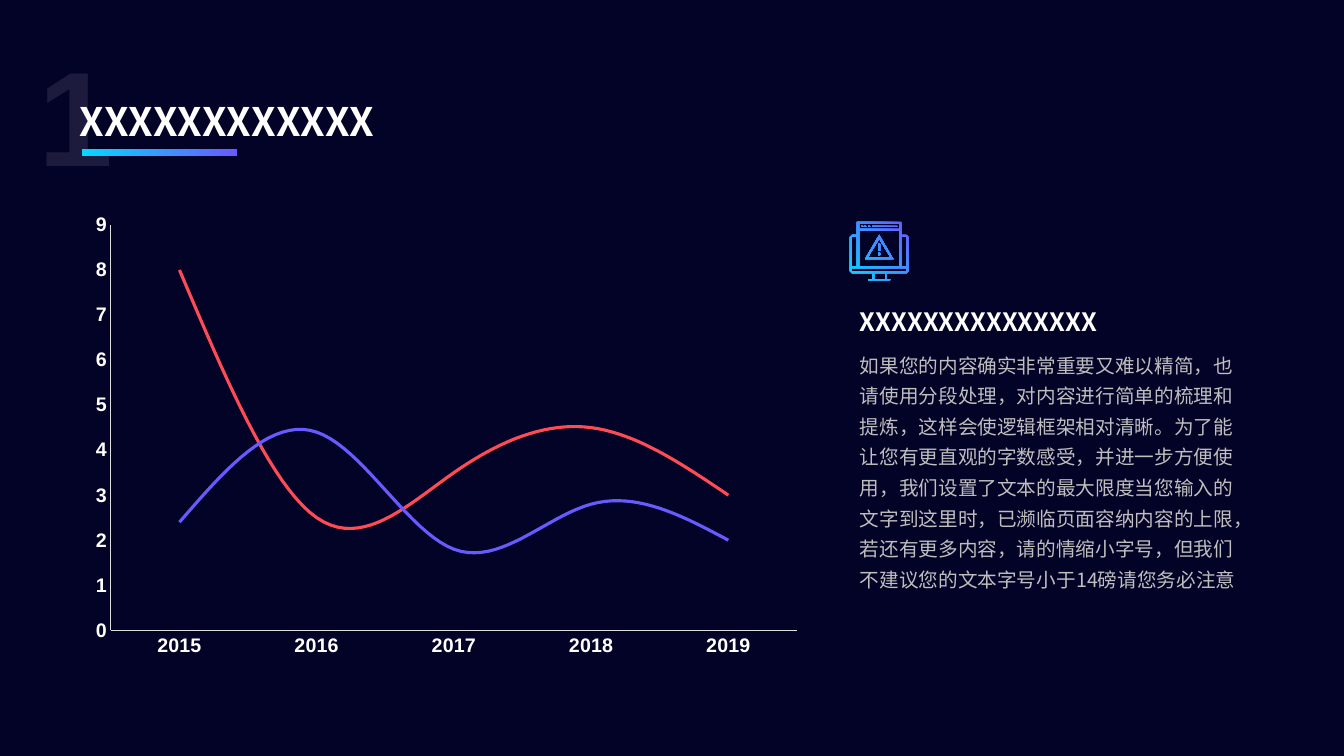
import pptx
import pptx.chart.data
import pptx.dml.color
import pptx.enum.chart
import pptx.enum.shapes
import pptx.enum.text
import pptx.oxml
import pptx.oxml.ns
import pptx.util

NIGHT, WHITE, GREY, GHOST, AXIS = "030227", "FFFFFF", "BFBFBF", "1C1B3D", "DEDEDE"
RED, PURPLE, CYAN = "FF4B55", "695AFF", "05D8FF"
CJK, LATIN = "Noto Sans CJK SC", "Arial"

BODY = (
    "如果您的内容确实非常重要又难以精简，也请使用分段处理，对内容进行简单的梳理和提炼，"
    "这样会使逻辑框架相对清晰。为了能让您有更直观的字数感受，并进一步方便使用，"
    "我们设置了文本的最大限度当您输入的文字到这里时，已濒临页面容纳内容的上限，"
    "若还有更多内容，请的情缩小字号，但我们不建议您的文本字号小于14磅请您务必注意"
)
YEARS = ["2015", "2016", "2017", "2018", "2019"]
TRENDS = [
    ("Series 1", (8, 2.5, 3.5, 4.5, 3), RED),
    ("Series 2", (2.4, 4.4, 1.8, 2.8, 2), PURPLE),
]

# Monitor icon, in hundredths of an inch from its top left corner
MONITOR = [
    (7, 0), (51, 0), (51, 13), (56, 13), (58, 15), (58, 49), (56, 51), (36, 51),
    (36, 57), (40, 57), (40, 58), (18, 58), (18, 57), (22, 57), (22, 51),
    (2, 51), (0, 49), (0, 15), (2, 13), (7, 13),
]
TRIANGLES = [[(29, 13), (43, 37), (15, 37)], [(29, 17), (18, 35), (40, 35)]]
PANES = [
    (24, 51, 35, 57), (2, 46, 56, 49), (51, 15, 56, 44), (2, 15, 7, 44),
    (9, 9, 49, 44), (9, 2, 49, 7), (22, 4, 47, 5), (28, 31, 30, 33),
    (28, 22, 30, 29), (11, 4, 13, 5), (14, 4, 16, 5), (18, 4, 20, 5),
]


def color(code):
    return pptx.dml.color.RGBColor.from_string(code)


def corners(left, top, right, bottom):
    return [(left, top), (right, top), (right, bottom), (left, bottom)]


def write(para, text, font=CJK, size=14, ink=WHITE, bold=False, spacing=None):
    para.line_spacing = spacing
    span = para.add_run()
    span.text = text
    span.font.name = font
    span.font.size = pptx.util.Pt(size)
    span.font.bold = bold
    span.font.color.rgb = color(ink)
    east = pptx.oxml.parse_xml(
        f'<a:ea {pptx.oxml.ns.nsdecls("a")} typeface="{font}"/>')
    span.font._element.append(east)


class Slide:
    """One page on a square grid of tenths of an inch."""

    CELL = pptx.util.Inches(0.1)

    def __init__(self, deck, ground):
        self.page = deck.slides.add_slide(deck.slide_layouts[6])
        self.page.background.fill.solid()
        self.page.background.fill.fore_color.rgb = color(ground)

    def cells(self, *counts):
        return [round(count * self.CELL) for count in counts]

    def text(self, left, top, width, height, words, **style):
        box = self.page.shapes.add_textbox(*self.cells(left, top, width, height))
        box.text_frame.word_wrap = True
        box.text_frame.auto_size = pptx.enum.text.MSO_AUTO_SIZE.SHAPE_TO_FIT_TEXT
        write(box.text_frame.paragraphs[0], words, **style)

    def blend(self, shape, angle):
        shape.shadow.inherit = False
        shape.line.fill.background()
        shape.fill.gradient()
        shape.fill.gradient_angle = angle
        for stop, code in zip(shape.fill.gradient_stops, (PURPLE, CYAN)):
            stop.color.rgb = color(code)

    def bar(self, left, top, width, height):
        kind = pptx.enum.shapes.MSO_SHAPE.RECTANGLE
        shape = self.page.shapes.add_shape(kind, *self.cells(left, top, width, height))
        self.blend(shape, 180)

    def icon(self, left, top, outlines):
        start, unit = outlines[0][0], self.CELL / 10
        builder = self.page.shapes.build_freeform(*start, scale=unit)
        for outline in outlines:
            if outline is not outlines[0]:
                builder.move_to(*outline[0])
            builder.add_line_segments(outline[1:], close=True)
        self.blend(builder.convert_to_shape(*self.cells(left, top)), 225)

    def line_chart(self, left, top, width, height, categories, rows, plot):
        data = pptx.chart.data.CategoryChartData()
        data.categories = categories
        for name, values, _ in rows:
            data.add_series(name, values)
        kind = pptx.enum.chart.XL_CHART_TYPE.LINE
        chart = self.page.shapes.add_chart(
            kind, *self.cells(left, top, width, height), data).chart
        chart.has_legend = chart.has_title = False
        chart.font.name = LATIN
        chart.font.size = pptx.util.Pt(14)

        for axis in (chart.category_axis, chart.value_axis):
            axis.has_major_gridlines = False
            axis.major_tick_mark = pptx.enum.chart.XL_TICK_MARK.NONE
            axis.minor_tick_mark = pptx.enum.chart.XL_TICK_MARK.NONE
            axis.format.line.color.rgb = color(AXIS)
            axis.format.line.width = pptx.util.Pt(0.75)
            font = axis.tick_labels.font
            font.name, font.size, font.bold = LATIN, pptx.util.Pt(14), True
            font.color.rgb = color(WHITE)
        chart.value_axis.minimum_scale = 0
        chart.value_axis.maximum_scale = 9
        chart.value_axis.major_unit = 1

        chart.plots[0].vary_by_categories = False
        for series, (_, _, code) in zip(chart.plots[0].series, rows):
            series.smooth = True
            series.format.line.color.rgb = color(code)
            series.format.line.width = pptx.util.Pt(2.25)
            series.marker.style = pptx.enum.chart.XL_MARKER_STYLE.NONE

        # Fixed plot area, as shares of the chart
        area = chart._chartSpace.chart.plotArea
        for layout in area.findall(pptx.oxml.ns.qn("c:layout")):
            area.remove(layout)
        places = "".join(f'<c:{key} val="{share}"/>' for key, share in zip("xywh", plot))
        area.insert(0, pptx.oxml.parse_xml(
            f'<c:layout {pptx.oxml.ns.nsdecls("c")}><c:manualLayout>'
            '<c:layoutTarget val="inner"/><c:xMode val="edge"/><c:yMode val="edge"/>'
            f'{places}</c:manualLayout></c:layout>'))


def main():
    deck = pptx.Presentation()
    deck.slide_width = pptx.util.Inches(13.33)
    deck.slide_height = pptx.util.Inches(7.5)
    slide = Slide(deck, NIGHT)

    # Heading with its number and underline
    slide.text(2.8, 2.7, 12.7, 17.2, "1", font=LATIN, size=96, ink=GHOST, bold=True)
    slide.bar(8.1, 14.8, 15.4, 0.7)
    slide.text(6.9, 9.2, 40.9, 5.7, "X" * 12, size=28, bold=True)

    # Trend chart
    slide.line_chart(8.1, 20.5, 72.4, 45.7, YEARS, TRENDS, (0.04, 0.04, 0.94, 0.88))

    # Icon and explanation
    slide.text(84.3, 29.9, 40.9, 4, "X" * 15, size=18, bold=True)
    slide.text(84.3, 33.9, 40.9, 25.2, BODY, ink=GREY, spacing=1.3)
    panes = [corners(*pane) for pane in PANES]
    slide.icon(84.3, 22, [MONITOR, *TRIANGLES, *panes])

    deck.save("out.pptx")


if __name__ == "__main__":
    main()
